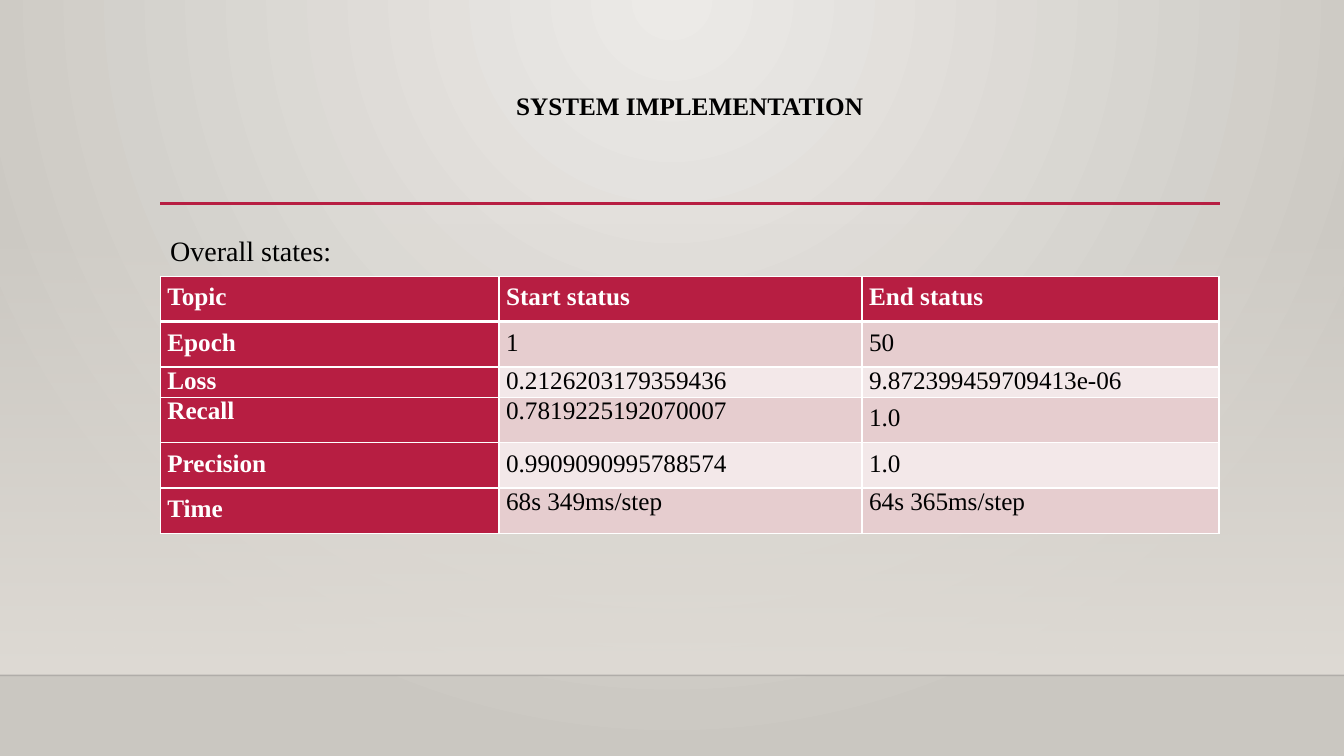
from lxml.etree import SubElement
from pptx import Presentation
from pptx.dml.color import RGBColor
from pptx.enum.shapes import MSO_CONNECTOR, MSO_SHAPE
from pptx.enum.text import PP_ALIGN
from pptx.oxml import parse_xml
from pptx.oxml.ns import nsdecls, qn
from pptx.util import Inches, Pt

RED = RGBColor(0xB7, 0x1E, 0x42)
PINK = RGBColor(0xE6, 0xCD, 0xCF)
PALE = RGBColor(0xF3, 0xE8, 0xE9)
WHITE = RGBColor(0xFF, 0xFF, 0xFF)
BLACK = RGBColor(0, 0, 0)
INK = RGBColor(0, 0, 1)
LIGHT = RGBColor(0xEC, 0xEA, 0xE7)
DARK = RGBColor(0xCA, 0xC7, 0xC1)
SAND = RGBColor(0xDF, 0xDB, 0xD5)
LEFT, WIDTH = Inches(1.59), Inches(10.5)

deck = Presentation()
deck.slide_width, deck.slide_height = Inches(13.33), Inches(7.5)
slide = deck.slides.add_slide(deck.slide_layouts[6])
shapes = slide.shapes


def blend(fill, first, last):
    """Give the fill a two-colour gradient running downwards."""
    fill.gradient()
    fill.gradient_angle = 270
    for stop, color in zip(fill.gradient_stops, (first, last)):
        stop.color.rgb = color


def write(para, text, size, color, bold=False):
    run = para.add_run()
    run.text = text
    run.font.name = "Times New Roman"
    run.font.size = Pt(size)
    run.font.bold = bold
    run.font.color.rgb = color


# Backdrop: a glow from the top centre, and a wall fading in above the floor
blend(slide.background.fill, LIGHT, DARK)
lin = next(slide.element.iter(qn("a:lin")))
lin.getparent().replace(lin, parse_xml(
    f'<a:path {nsdecls("a")} path="circle">'
    '<a:fillToRect l="43000" t="0" r="43000" b="100000"/></a:path>'))

wall = shapes.add_shape(MSO_SHAPE.RECTANGLE, 0, Inches(2.21),
                        Inches(13.33), Inches(4.49))
wall.shadow.inherit = False
wall.line.fill.background()
blend(wall.fill, SAND, SAND)
clear = next(wall.element.iter(qn("a:srgbClr")))
SubElement(clear, qn("a:alpha"), val="0")

# Floor edge and title rule
for left, right, top, color, width, alpha in [
        (0, 13.33, 6.7, INK, 1, 20), (1.59, 12.1, 2.02, RED, 2.5, 100)]:
    rule = shapes.add_connector(MSO_CONNECTOR.STRAIGHT, Inches(left),
                                Inches(top), Inches(right), Inches(top))
    rule.line.color.rgb = color
    rule.line.width = Pt(width)
    tint = next(rule.element.iter(qn("a:srgbClr")))
    SubElement(tint, qn("a:alpha"), val=str(alpha * 1000))
    SubElement(rule.element.spPr, qn("a:effectLst"))

# Title and lead-in
for text, top, height, size, bold, align, space, before in [
        ("SYSTEM IMPLEMENTATION", 0.88, 1.15, 18, True, PP_ALIGN.CENTER, 0.9, 0),
        ("Overall states:", 2.2, 3.77, 20, False, PP_ALIGN.LEFT, 1.2, 10)]:
    box = shapes.add_textbox(LEFT, Inches(top), WIDTH, Inches(height))
    box.text_frame.word_wrap = True
    para = box.text_frame.paragraphs[0]
    para.alignment = align
    para.line_spacing = space
    para.space_before = Pt(before)
    write(para, text, size, BLACK, bold)

# Each row: its texts, and the columns set with single line spacing
rows = [
    (("Topic", "Start status", "End status"), ()),
    (("Epoch", "1", "50"), ()),
    (("Loss", "0.2126203179359436", "9.872399459709413e-06"), (0, 1, 2)),
    (("Recall", "0.7819225192070007", "1.0"), (0, 1)),
    (("Precision", "0.9909090995788574", "1.0"), ()),
    (("Time", "68s 349ms/step", "64s 365ms/step"), (1, 2)),
]
table = shapes.add_table(len(rows), 3, LEFT, Inches(2.74),
                         WIDTH, Inches(2.55)).table
for col, width in zip(table.columns, (3.36, 3.6, 3.54)):
    col.width = Inches(width)

for i, (texts, single) in enumerate(rows):
    table.rows[i].height = Inches(0.3 if len(single) == 3 else 0.45)
    for j, text in enumerate(texts):
        cell = table.cell(i, j)
        cell.margin_left = cell.margin_right = Inches(0.07)
        cell.margin_top = cell.margin_bottom = 0
        props = cell._tc.get_or_add_tcPr()
        for side in "LRTB":
            thick = (i, side) in [(0, "B"), (1, "T")]
            edge = SubElement(props, qn(f"a:ln{side}"),
                              w=str(Pt(3 if thick else 1)))
            paint = SubElement(edge, qn("a:solidFill"))
            SubElement(paint, qn("a:srgbClr"), val=str(WHITE))
        head = i == 0 or j == 0
        cell.fill.solid()
        cell.fill.fore_color.rgb = RED if head else PINK if i % 2 else PALE
        para = cell.text_frame.paragraphs[0]
        if j not in single:
            para.alignment = PP_ALIGN.JUSTIFY
            para.line_spacing = Pt(25)
        write(para, text, 18, WHITE if head else BLACK, head)

deck.save("out.pptx")
